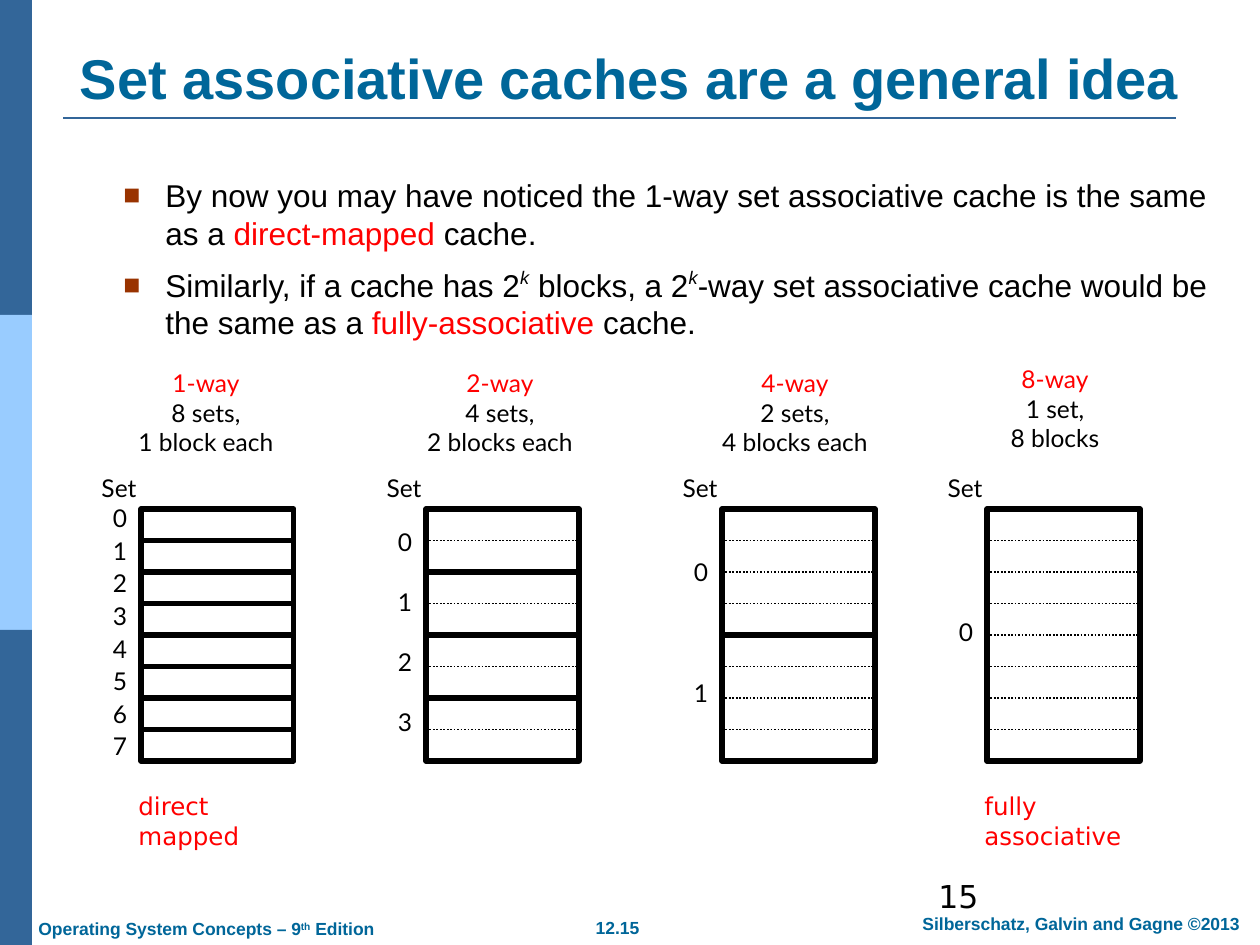
from lxml import etree
from pptx import Presentation
from pptx import util as u
from pptx.dml.color import RGBColor
from pptx.enum import dml, shapes, text
from pptx.oxml.ns import qn

C = {"bar": "336699", "light": "99CCFF", "title": "006699", "black": "000000",
     "red": "FF0000", "bullet": "993300"}
PX = 914400 / 126
ALIGN = {"l": text.PP_ALIGN.LEFT, "c": text.PP_ALIGN.CENTER}
ANCHOR = {"t": text.MSO_ANCHOR.TOP, "m": text.MSO_ANCHOR.MIDDLE, "b": text.MSO_ANCHOR.BOTTOM}
BLOCKS = 8


def px(n):
    return u.Emu(round(n * PX))


def rgb(name):
    return RGBColor.from_string(C[name])


def add_bullet(p):
    pPr = p._p.get_or_add_pPr()
    pPr.set("marL", str(px(42)))
    pPr.set("indent", str(-px(42)))
    color = etree.SubElement(pPr, qn("a:buClr"))
    etree.SubElement(color, qn("a:srgbClr"), val=C["bullet"])
    etree.SubElement(pPr, qn("a:buSzPct"), val="90000")
    etree.SubElement(pPr, qn("a:buFont"), typeface="Arial")
    etree.SubElement(pPr, qn("a:buChar"), char="■")


def add_text(s, box, paras, size=14, font="Lato", color="black", bold=False,
             align="l", anchor="t", gap=0, bullet=False):
    """Each paragraph is a list of (text, overrides) runs or a plain string."""
    tf = s.shapes.add_textbox(*map(px, box)).text_frame
    tf.word_wrap = True
    tf.vertical_anchor = ANCHOR[anchor]
    for i, runs in enumerate(paras):
        p = tf.paragraphs[0] if i == 0 else tf.add_paragraph()
        if bullet:
            add_bullet(p)
        p.alignment = ALIGN[align]
        if i and gap:
            p.space_before = u.Pt(gap)
        for words, fmt in [(runs, {})] if isinstance(runs, str) else runs:
            r = p.add_run()
            r.text = words
            r.font.name, r.font.size, r.font.bold = font, u.Pt(size), bold
            r.font.italic = fmt.get("italic", False)
            r.font.color.rgb = rgb(fmt.get("color", color))
            if "raised" in fmt:
                r._r.get_or_add_rPr().set("baseline", str(fmt["raised"] * 1000))


def add_rect(s, box, fill=None, line=None):
    sp = s.shapes.add_shape(shapes.MSO_SHAPE.RECTANGLE, *map(px, box))
    sp.shadow.inherit = False
    if fill:
        sp.fill.solid()
        sp.fill.fore_color.rgb = rgb(fill)
    else:
        sp.fill.background()
    if line:
        sp.line.color.rgb = rgb(line)
        sp.line.width = u.Pt(3)
    else:
        sp.line.fill.background()
    return sp


def add_line(s, x1, x2, y, color, width):
    ln = s.shapes.add_connector(shapes.MSO_CONNECTOR.STRAIGHT, px(x1), px(y), px(x2), px(y))
    ln.line.color.rgb = rgb(color)
    ln.line.width = u.Pt(width)
    etree.SubElement(ln._element.spPr, qn("a:effectLst"))
    return ln


def frame(s, w, h):
    # Side bar in three parts
    part = h / 3
    for i, fill in enumerate(("bar", "light", "bar")):
        add_rect(s, (0, i * part, 32, part), fill=fill)
    add_line(s, 63, 1176, 118, "bar", 1.5)

    # Footer
    style = dict(size=10, font="Arial", color="title", bold=True)
    add_text(s, (26, 912, 400, 33), [[("Operating System Concepts – 9", {}),
             ("th", {"raised": 30}), (" Edition", {})]], **style)
    add_text(s, (w / 2 - 80, 911, 135, 34), ["12.15"], align="c", **style)
    add_text(s, (902, 907, 358, 34), ["Silberschatz, Galvin and Gagne ©2013"],
             align="c", **style)
    add_text(s, (926, 871, 254, 63), ["15"], size=18, font="DejaVu Sans")


def heading(s, box):
    add_text(s, box, ["Set associative caches are a general idea"], size=32,
             font="Arial", color="title", bold=True, align="c", anchor="b")


def body(s, box):
    red, power = {"color": "red"}, {"italic": True, "raised": 40}
    add_text(s, box, [
        [("By now you may have noticed the 1-way set associative cache is the same as a ", {}),
         ("direct-mapped", red), (" cache.", {})],
        [("Similarly, if a cache has 2", {}), ("k", power), (" blocks, a 2", {}), ("k", power),
         ("-way set associative cache would be the same as a ", {}),
         ("fully-associative ", red), ("cache.", {})],
    ], size=18, font="Arial", gap=7.9, bullet=True)


def cache(s, box, ways, caption, caption_at, gap, note):
    x, y, w, h = box
    sets, row = BLOCKS // ways, h / BLOCKS
    dx, dy = caption_at

    # Caption, column label and set numbers
    add_text(s, (x + dx - 90, y + dy, 180, 101),
             [[(f"{ways}-way", {"color": "red"})], *caption], align="c", anchor="m")
    add_text(s, (x - 56, y - 42, 68, 42), ["Set"], align="c", anchor="m")
    add_text(s, (x - 41, y - 3, 40, h), [str(i) for i in range(sets)],
             align="c", anchor="m", gap=gap)

    # Sets, each divided into its blocks
    for i in range(sets):
        top = y + i * ways * row
        sp = add_rect(s, (x, top, w, ways * row), line="black")
        for j in range(1, ways):
            ln = add_line(s, x, x + w, top + j * row, "black", 1)
            ln.line.dash_style = dml.MSO_LINE.ROUND_DOT
            if 2 * j == ways:
                ln.begin_connect(sp, 1)
                ln.end_connect(sp, 3)

    if note:
        add_text(s, (x - 15, y + h + 24, 193, 70), [note], font="DejaVu Sans", color="red")


def main():
    prs = Presentation()
    prs.slide_width, prs.slide_height = u.Inches(10), u.Inches(7.5)
    s = prs.slides.add_slide(prs.slide_layouts[6])
    frame(s, 1260, 945)
    heading(s, (63, 38, 1134, 79))
    body(s, (111, 170, 1134, 190))
    # Left edge, ways, caption, caption offset, number gap, note
    caches = [
        (141, 1, ["8 sets,", "1 block each"], (65, -147), 1.8, "direct mapped"),
        (426, 2, ["4 sets,", "2 blocks each"], (74, -147), 17.5, None),
        (722, 4, ["2 sets,", "4 blocks each"], (73, -147), 52.5, None),
        (987, 8, ["1 set,", "8 blocks"], (68, -151), 0, "fully associative"),
    ]
    for x, *details in caches:
        cache(s, (x, 509, 153, 252), *details)
    prs.save("out.pptx")


if __name__ == "__main__":
    main()
